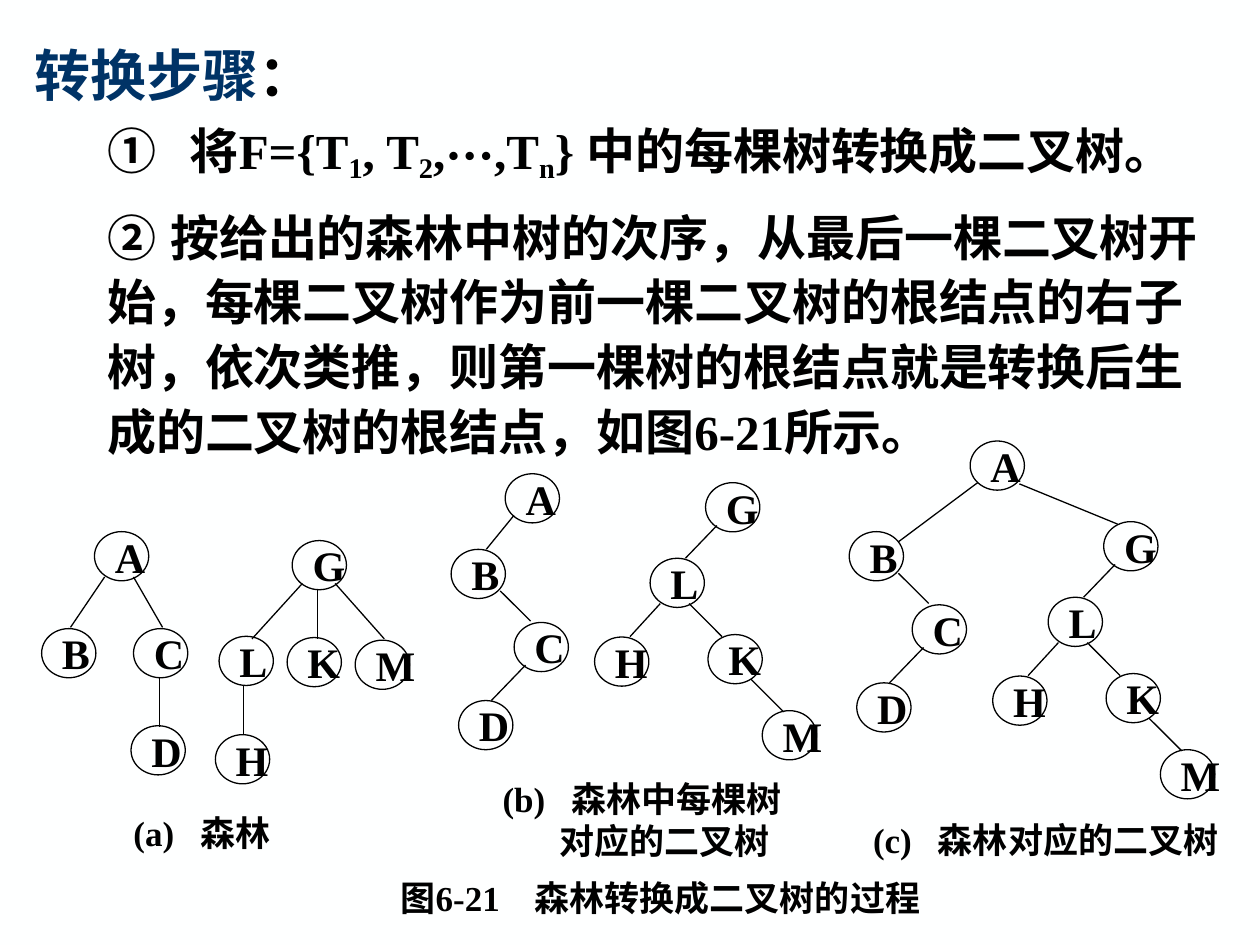
from dataclasses import dataclass

import pptx
import pptx.dml.color
import pptx.enum.shapes
import pptx.enum.text
import pptx.oxml.ns
import pptx.util
from lxml import etree

Pt = pptx.util.Pt
BLACK = pptx.dml.color.RGBColor(0x00, 0x00, 0x00)
NAVY = pptx.dml.color.RGBColor(0x00, 0x33, 0x66)
PAPER = pptx.dml.color.RGBColor(0xFE, 0xFF, 0xFF)
LATIN_FONT = "Times New Roman"
CHINESE_FONT = "Noto Sans CJK SC"
NODE_WIDTH, NODE_HEIGHT = 31, 28.1


@dataclass(frozen=True)
class Node:
    label: str
    x: float
    y: float


@dataclass(frozen=True)
class Edge:
    x1: float
    y1: float
    x2: float
    y2: float


@dataclass(frozen=True)
class Tree:
    nodes: tuple[Node, ...]
    edges: tuple[Edge, ...]


@dataclass(frozen=True)
class Caption:
    lines: tuple[str, ...]
    x: float
    y: float
    width: float
    height: float
    hanging: float


@dataclass(frozen=True)
class Step:
    pieces: tuple[str, ...]
    margin: float
    first_line: float


FOREST_A = Tree(
    (Node("A", 0, 0), Node("B", -30.2, 55.4), Node("C", 22.3, 55.4), Node("D", 20.9, 110.9)),
    (Edge(5.8, 25.9, -13.7, 54.7), Edge(22.3, 25.9, 38.9, 54.7), Edge(37.2, 82.8, 37.2, 111.6)),
)
FOREST_G = Tree(
    (Node("G", 0, 0), Node("M", 36, 56.9), Node("L", -41.8, 54.7),
     Node("H", -43.9, 110.9), Node("K", -2.9, 55.4)),
    (Edge(5.8, 24.5, -23, 56.2), Edge(24.5, 24.5, 52.6, 56.2),
     Edge(-27.9, 82.8, -27.9, 110.9), Edge(14.4, 28.1, 14.4, 56.2)),
)
BINARY_B = Tree(
    (Node("B", 0, 0), Node("C", 36, 41.8), Node("D", 4.3, 86.4)),
    (Edge(28.1, 23.8, 45.4, 41), Edge(42.5, 66.2, 23, 86.4)),
)
BINARY_G = Tree(
    (Node("G", 0, 0), Node("L", -31.7, 43.2), Node("K", 1.4, 86.8),
     Node("H", -63.4, 88.2), Node("M", 32.4, 130.3)),
    (Edge(6.5, 24.5, -11.5, 43.2), Edge(-9.4, 69.1, 9.4, 88),
     Edge(-25.9, 69.1, -43.2, 88), Edge(25.9, 112.3, 44.6, 131)),
)
ROOT_ONE_CHILD = Tree((Node("A", 0, 0),), (Edge(5, 23.8, -10.8, 43.2),))
ROOT_TWO_CHILDREN = Tree(
    (Node("A", 0, 0),), (Edge(4.3, 23.8, -41, 57.6), Edge(28.1, 24.5, 84.2, 47.5))
)
PLACED_TREES = (
    (FOREST_A, 54, 303.8),
    (FOREST_G, 167, 308.9),
    (ROOT_ONE_CHILD, 288.7, 270.7),
    (BINARY_B, 257.8, 313.9),
    (BINARY_G, 403.2, 275.8),
    (ROOT_TWO_CHILDREN, 554.4, 252),
    (BINARY_B, 485.3, 303.8),
    (BINARY_G, 630.7, 298.1),
)
CAPTIONS = (
    Caption(("(a)\t森林",), 69.1, 461.4, 110, 28.1, 38.3),
    Caption(("(b)\t森林中每棵树", "对应的二叉树"), 280.1, 442.6, 195, 51.1, 39.4),
    Caption(("(c)\t森林对应的二叉树",), 491.8, 465.7, 224, 28.1, 37.1),
    Caption(("图6-21\t森林转换成二叉树的过程",), 221.8, 498.8, 330, 28.1, 76.6),
)
CONTINUATION_INDENT = 32.4
STEPS = (
    Step(("①\t将F={T", "1", ", T", "2", ",⋯,T", "n", "} 中的每棵树转换成二叉树。"), 89.1, -47.3),
    Step(("②\t按给出的森林中树的次序，从最后一棵二叉树开始，每棵二叉树作为前一棵二叉树的"
          "根结点的右子树，依次类推，则第一棵树的根结点就是转换后生成的二叉树的根结点，"
          "如图6-21所示。",), 41.8, 0),
)


def format_run(run, size: float, color=BLACK) -> None:
    run.font.size = Pt(size)
    run.font.bold = True
    run.font.name = LATIN_FONT
    run.font.color.rgb = color
    east_asian = etree.SubElement(run.font._element, pptx.oxml.ns.qn("a:ea"))
    east_asian.set("typeface", CHINESE_FONT)


def set_indent(paragraph, margin: float, first_line: float = 0) -> None:
    properties = paragraph._p.get_or_add_pPr()
    properties.set("marL", str(Pt(margin)))
    properties.set("indent", str(Pt(first_line)))
    etree.SubElement(properties, pptx.oxml.ns.qn("a:buNone"))


def move_placeholder(placeholder, x: float, y: float, width: float, height: float) -> None:
    placeholder.left, placeholder.top = Pt(x), Pt(y)
    placeholder.width, placeholder.height = Pt(width), Pt(height)
    placeholder.text_frame.vertical_anchor = pptx.enum.text.MSO_ANCHOR.TOP
    placeholder.text_frame.auto_size = pptx.enum.text.MSO_AUTO_SIZE.NONE


def draw_tree(slide, tree: Tree, x: float, y: float) -> None:
    for node in tree.nodes:
        circle = slide.shapes.add_shape(
            pptx.enum.shapes.MSO_SHAPE.OVAL,
            Pt(x + node.x), Pt(y + node.y), Pt(NODE_WIDTH), Pt(NODE_HEIGHT),
        )
        circle.shadow.inherit = False
        circle.fill.background()
        circle.line.color.rgb = BLACK
        circle.line.width = Pt(0.75)
        frame = circle.text_frame
        frame.text = node.label
        frame.word_wrap = False
        frame.vertical_anchor = pptx.enum.text.MSO_ANCHOR.MIDDLE
        frame.paragraphs[0].alignment = pptx.enum.text.PP_ALIGN.LEFT
        format_run(frame.paragraphs[0].runs[0], 24)
    for edge in tree.edges:
        branch = slide.shapes.add_connector(
            pptx.enum.shapes.MSO_CONNECTOR.STRAIGHT,
            Pt(x + edge.x1), Pt(y + edge.y1), Pt(x + edge.x2), Pt(y + edge.y2),
        )
        branch.line.color.rgb = BLACK
        branch.line.width = Pt(0.75)
        etree.SubElement(branch._element.spPr, pptx.oxml.ns.qn("a:effectLst"))


def draw_caption(slide, caption: Caption) -> None:
    frame = slide.shapes.add_textbox(
        Pt(caption.x), Pt(caption.y), Pt(caption.width), Pt(caption.height)
    ).text_frame
    frame.word_wrap = True
    frame.vertical_anchor = pptx.enum.text.MSO_ANCHOR.MIDDLE
    frame.text = "\n".join(caption.lines)
    for index, paragraph in enumerate(frame.paragraphs):
        if index:
            set_indent(paragraph, CONTINUATION_INDENT)
        else:
            set_indent(paragraph, caption.hanging, -caption.hanging)
        paragraph.line_spacing = Pt(24)
        format_run(paragraph.runs[0], 20)


def write_heading(title) -> None:
    move_placeholder(title, 12.24, 16.2, 696, 48)
    heading = title.text_frame.paragraphs[0]
    heading.text = "转换步骤"
    heading.alignment = pptx.enum.text.PP_ALIGN.LEFT
    heading.line_spacing = Pt(42)
    format_run(heading.runs[0], 32, NAVY)
    colon = heading.add_run()
    colon.text = "："
    format_run(colon, 32)


def write_steps(body) -> None:
    move_placeholder(body, 12.24, 64.7, 696, 198)
    frame = body.text_frame
    for index, step in enumerate(STEPS):
        paragraph = frame.add_paragraph() if index else frame.paragraphs[0]
        set_indent(paragraph, step.margin, step.first_line)
        paragraph.line_spacing = Pt(36.9)
        paragraph.space_before = Pt(10 if index else 0)
        for position, piece in enumerate(step.pieces):
            run = paragraph.add_run()
            run.text = piece
            format_run(run, 28)
            if position % 2:
                run.font._element.set("baseline", "-18000")


def main() -> None:
    deck = pptx.Presentation()
    deck.slide_width, deck.slide_height = Pt(720), Pt(540)
    slide = deck.slides.add_slide(deck.slide_layouts[1])
    slide.background.fill.solid()
    slide.background.fill.fore_color.rgb = PAPER
    write_heading(slide.shapes.title)
    write_steps(slide.placeholders[1])
    for tree, x, y in PLACED_TREES:
        draw_tree(slide, tree, x, y)
    for caption in CAPTIONS:
        draw_caption(slide, caption)
    deck.save("out.pptx")


if __name__ == "__main__":
    main()
